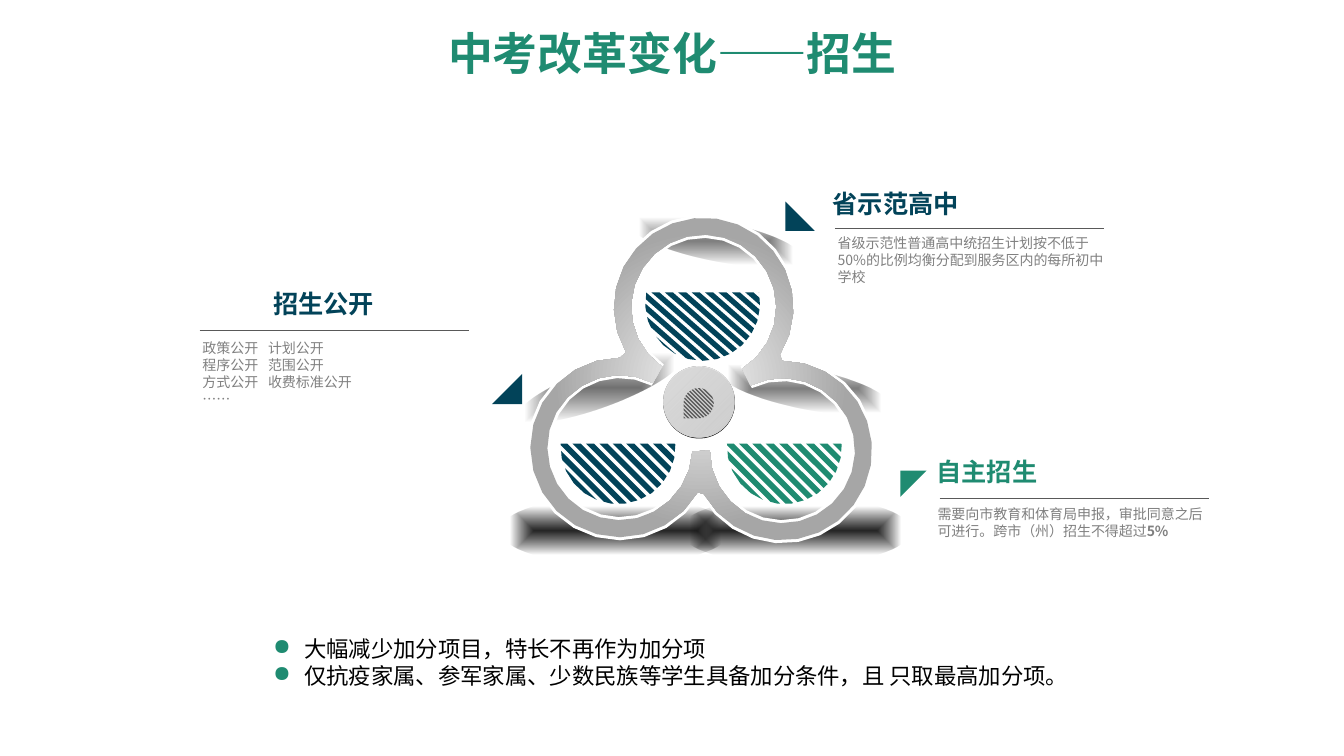
from math import asin, ceil, cos, degrees, radians, sin

from lxml.etree import SubElement
from pptx import Presentation
from pptx.dml.color import RGBColor
from pptx.enum.shapes import MSO_CONNECTOR, MSO_SHAPE
from pptx.enum.text import MSO_ANCHOR, MSO_AUTO_SIZE, PP_ALIGN
from pptx.oxml import parse_xml
from pptx.oxml.ns import nsdecls, qn
from pptx.util import Inches, Pt

NAVY = RGBColor(0x02, 0x43, 0x59)
GREEN = RGBColor(0x1F, 0x8B, 0x71)
GREY = RGBColor(0x80, 0x80, 0x80)
RULE_GREY = RGBColor(0x59, 0x59, 0x59)
LEAF_GREY = RGBColor(0x5D, 0x5D, 0x5D)
CHARCOAL = RGBColor(0x26, 0x26, 0x26)
SILVER = RGBColor(0xD9, 0xD9, 0xD9)
RING_LIGHT = RGBColor(0xF2, 0xF2, 0xF2)
RING_DARK = RGBColor(0xA6, 0xA6, 0xA6)
BLACK = RGBColor(0, 0, 0)
WHITE = RGBColor(0xFF, 0xFF, 0xFF)

CJK_FONT = "Noto Sans CJK SC"
TITLE_FORMAT = {"name": "Montserrat", "size": Pt(32), "bold": True}
HEADING_FORMAT = {"name": "Arial", "size": Pt(18), "bold": True}
BODY_FORMAT = {"name": CJK_FONT, "size": Pt(10)}
BULLET_FORMAT = {"name": CJK_FONT, "size": Pt(16)}


def add_run(paragraph, text, formats, color):
    """Append a formatted run to a paragraph."""
    run = paragraph.add_run()
    run.text = text
    for name, value in formats.items():
        setattr(run.font, name, value)
    run.font.color.rgb = color
    SubElement(run.font._element, qn("a:ea"), typeface=CJK_FONT)


def add_text(shapes, box, lines, formats, color, wrap=True):
    """Add a text box with one paragraph per line and return its paragraphs."""
    frame = shapes.add_textbox(*map(Inches, box)).text_frame
    frame.word_wrap = wrap
    frame.auto_size = MSO_AUTO_SIZE.SHAPE_TO_FIT_TEXT
    for number, line in enumerate(lines):
        paragraph = frame.add_paragraph() if number else frame.paragraphs[0]
        add_run(paragraph, line, formats, color)
    return frame.paragraphs


def finish(shape, color):
    """Give a shape a plain fill without line or shadow."""
    shape.shadow.inherit = False
    shape.line.fill.background()
    shape.fill.solid()
    shape.fill.fore_color.rgb = color
    return shape


def set_gradient(shape, stops, direction):
    """Replace the fill by a gradient of (position, color, opacity) stops."""
    marks = "".join(
        f'<a:gs pos="{position * 1000}"><a:srgbClr val="{color}">'
        f'<a:alpha val="{opacity * 1000}"/></a:srgbClr></a:gs>'
        for position, color, opacity in stops)
    gradient = parse_xml(f'<a:gradFill {nsdecls("a")} rotWithShape="1">'
                         f'<a:gsLst>{marks}</a:gsLst>{direction}</a:gradFill>')
    properties = shape._element.spPr
    properties.replace(properties.find(qn("a:solidFill")), gradient)


def centred(kind):
    """Return the direction of a gradient that spreads from the middle."""
    return (f'<a:path path="{kind}"><a:fillToRect l="50000" t="50000" '
            'r="50000" b="50000"/></a:path>')


def add_outline(shapes, contours, color):
    """Draw closed contours, given in inches, as one freeform."""
    contours = [[(Inches(x), Inches(y)) for x, y in contour] for contour in contours]
    builder = shapes.build_freeform(*contours[0][0], scale=1.0)
    for number, contour in enumerate(contours):
        if number:
            builder.move_to(*contour[0])
        builder.add_line_segments(contour[1:], close=True)
    return finish(builder.convert_to_shape(), color)


def arc(center, radius, start, end):
    """Return points along a clockwise arc between two angles in degrees."""
    steps = ceil((end - start) / 15)
    angles = [radians(start + (end - start) * i / steps) for i in range(steps + 1)]
    return [(center[0] + radius * cos(a), center[1] + radius * sin(a)) for a in angles]


def clip(points, distance):
    """Keep the part of a polygon where the distance is not negative."""
    kept = []
    for first, second in zip(points, points[1:] + points[:1]):
        d1, d2 = distance(first), distance(second)
        if d1 >= 0:
            kept.append(first)
        if d1 * d2 < 0:
            share = d1 / (d1 - d2)
            kept.append(tuple(a + share * (b - a) for a, b in zip(first, second)))
    return kept


def add_hatched(shapes, outline, color, period, width, phase, slope=1.0):
    """Fill a convex outline with slanted stripes."""
    left, top = (min(values) for values in zip(*outline))

    def offset(point):
        return point[0] - left - (point[1] - top) / slope

    offsets = [offset(point) for point in outline]
    stripes = []
    for number in range(int(min(offsets) / period) - 2, int(max(offsets) / period) + 2):
        start = phase + number * period
        stripe = clip(outline, lambda p: offset(p) - start)
        stripe = clip(stripe, lambda p: start + width - offset(p))
        if len(stripe) > 2:
            stripes.append(stripe)
    add_outline(shapes, stripes, color)


def add_bowl(shapes, center, rise, color, phase, slope=1.0):
    """Add a striped bowl whose flat top lies a rise above its center."""
    tilt = degrees(asin(rise / 0.57))
    outline = arc(center, 0.57, -tilt, 180 + tilt)
    add_hatched(shapes, outline, color, 0.133, 0.08, phase, slope)


def add_shadow(shapes, box, rotation, opacity, reach):
    """Add a soft dark ellipse."""
    shadow = finish(shapes.add_shape(MSO_SHAPE.OVAL, *map(Inches, box)), CHARCOAL)
    shadow.rotation = rotation
    set_gradient(shadow, [(0, CHARCOAL, opacity), (reach, BLACK, 0)], centred("shape"))


def add_hub(shapes, center):
    """Add the round hub with its striped leaf."""
    x, y = center
    for size, color in ((0.71, BLACK), (0.7, SILVER)):
        box = (x - 0.35, y - 0.36, size, size)
        disc = finish(shapes.add_shape(MSO_SHAPE.OVAL, *map(Inches, box)), color)
    set_gradient(disc, [(0, SILVER, 100), (99, WHITE, 80)], '<a:lin ang="2700000" scaled="1"/>')
    leaf = arc((x, y), 0.15, 180, 450) + [(x - 0.15, y + 0.15)]
    add_hatched(shapes, leaf, LEAF_GREY, 0.04, 0.02, 0.02)


def add_trefoil(slide, left, top):
    """Add the three joined rings with shadows, hub and bowls."""
    upper, lower_left, lower_right = (
        (left + x, top + y) for x, y in ((1.75, 0.93), (0.92, 2.32), (2.53, 2.35)))
    add_bowl(slide.shapes, (left + 0.9, top + 2.31), 0.03, NAVY, -0.015)
    add_bowl(slide.shapes, (left + 1.74, top + 0.89), 0.11, NAVY, 0.06, 0.88)
    shapes = slide.shapes.add_group_shape().shapes
    for x, y, rotation, opacity, reach in (
            (1.01, 0.08, 11.1, 59, 65), (-0.14, 1.53, 340.3, 65, 71), (1.89, 1.54, 11.1, 59, 65)):
        add_shadow(shapes, (left + x, top + y, 1.72, 0.39), rotation, opacity, reach)
    for x in (-0.27, 1.52):
        add_shadow(shapes, (left + x, top + 2.81, 2.28, 0.67), 0, 100, 71)
    add_hub(shapes, (left + 1.7, top + 1.88))
    for outer, inner, color in ((0.92, 0.69, WHITE), (0.89, 0.72, RING_DARK)):
        rim = (arc(upper, outer, 150, 392) + arc(lower_right, outer, -90, 151)
               + arc(lower_left, outer, 30, 270))
        hole = (arc(upper, inner, 125, 418) + arc(lower_right, inner, -116, 180)
                + arc(lower_left, inner, 3, 297))
        ring = add_outline(shapes, [rim, hole[::-1]], color)
    set_gradient(ring, [(2, RING_LIGHT, 100), (63, RING_DARK, 100)], centred("circle"))
    add_bowl(slide.shapes, (left + 2.55, top + 2.31), 0.03, GREEN, -0.015)


def add_callout(slide, left, top, color, heading, heading_box, lines, body_box, corner):
    """Add a heading, rule, text and corner mark around the rule's left end."""
    shapes = slide.shapes.add_group_shape().shapes
    mark_x, mark_y, size, points = corner
    add_outline(shapes, [[(left + mark_x + size * x, top + mark_y + size * y)
                          for x, y in points]], color)
    x, y, width, height = body_box
    body = add_text(shapes, (left + x, top + y, width, height), lines, BODY_FORMAT, GREY)
    x, y, width, height = heading_box
    title = add_text(shapes, (left + x, top + y, width, height), [heading],
                     HEADING_FORMAT, color, wrap=False)
    title[0].line_spacing = Pt(17)
    rule = shapes.add_connector(MSO_CONNECTOR.STRAIGHT, Inches(left), Inches(top),
                                Inches(left + 2.67), Inches(top))
    rule.line.color.rgb = RULE_GREY
    rule.line.width = Pt(0.5)
    SubElement(rule._element.spPr, qn("a:effectLst"))
    return body


def add_title(slide, box, text):
    """Place and fill the title placeholder."""
    title = slide.shapes.title
    for name, value in zip(("left", "top", "width", "height"), box):
        setattr(title, name, Inches(value))
    title.text_frame.vertical_anchor = MSO_ANCHOR.MIDDLE
    paragraph = title.text_frame.paragraphs[0]
    paragraph.alignment = PP_ALIGN.CENTER
    paragraph.line_spacing = 0.9
    add_run(paragraph, text, TITLE_FORMAT, GREEN)


def add_bullets(slide, box, lines):
    """Add the list of closing remarks with green bullets."""
    for paragraph in add_text(slide.shapes, box, lines, BULLET_FORMAT, BLACK, wrap=False):
        properties = paragraph._p.get_or_add_pPr()
        properties.set("marL", str(Inches(0.31)))
        properties.set("indent", str(-Inches(0.31)))
        SubElement(SubElement(properties, qn("a:buClr")), qn("a:srgbClr"), val=str(GREEN))
        SubElement(properties, qn("a:buChar"), char="●")


def main():
    """Build and save the presentation."""
    presentation = Presentation()
    presentation.slide_width, presentation.slide_height = Inches(13.33), Inches(7.5)
    slide = presentation.slides.add_slide(presentation.slide_layouts[5])
    add_title(slide, (0.92, 0.23, 11.5, 0.66), "中考改革变化——招生")
    add_trefoil(slide, 5.23, 2.12)
    add_callout(slide, 8.28, 2.27, NAVY, "省示范高中", (-0.12, -0.39, 1.46, 0.34),
                ["省级示范性普通高中统招生计划按不低于50%的比例均衡分配到服务区内的每所初中学校"],
                (-0.07, 0.01, 2.95, 0.61), (-0.49, -0.27, 0.29, ((0, 0), (1, 1), (0, 1))))
    quota = add_callout(slide, 9.32, 4.94, GREEN, "自主招生", (-0.13, -0.4, 1.21, 0.34),
                        ["需要向市教育和体育局申报，审批同意之后可进行。跨市（州）招生不得超过"],
                        (-0.12, 0.03, 2.95, 0.44), (-0.39, -0.27, 0.26, ((0, 0), (1, 0), (0, 1))))
    add_run(quota[0], "5%", {**BODY_FORMAT, "bold": True}, GREY)
    openness = add_callout(slide, 1.98, 3.28, NAVY, "招生公开", (0.63, -0.4, 1.21, 0.34),
                           ["政策公开\t计划公开", "程序公开\t范围公开", "方式公开\t收费标准公开", "……"],
                           (-0.07, 0.04, 2.95, 0.94), (2.9, 0.43, 0.3, ((1, 0), (1, 1), (0, 1))))
    for paragraph in openness[:3]:
        tabs = SubElement(paragraph._p.get_or_add_pPr(), qn("a:tabLst"))
        SubElement(tabs, qn("a:tab"), pos=str(Inches(0.65)), algn="l")
    add_bullets(slide, (2.61, 6.25, 8.21, 0.64),
                ["大幅减少加分项目，特长不再作为加分项",
                 "仅抗疫家属、参军家属、少数民族等学生具备加分条件，且 只取最高加分项。"])
    presentation.save("out.pptx")


if __name__ == "__main__":
    main()
